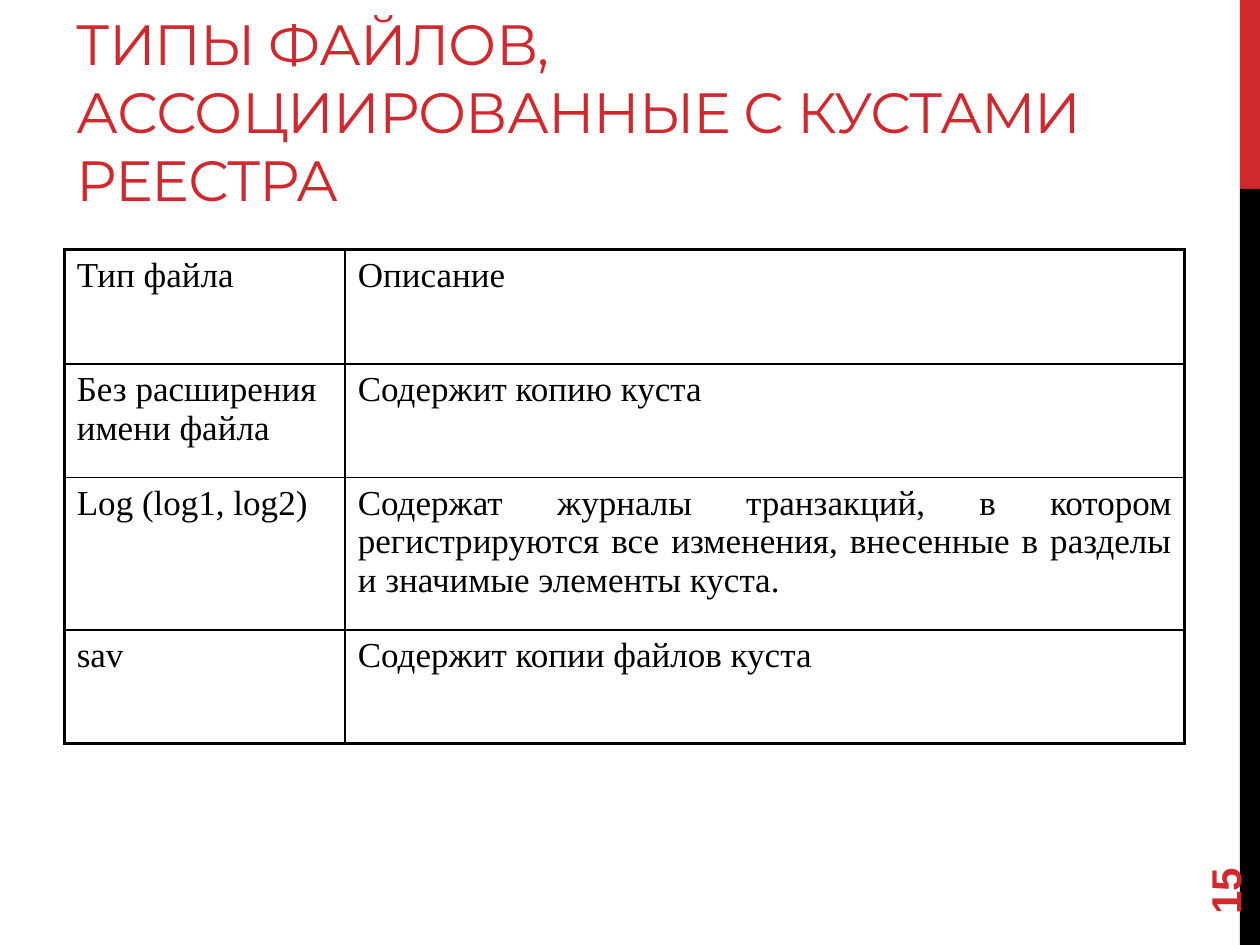
from lxml import etree
from pptx import Presentation
from pptx.dml.color import RGBColor
from pptx.enum.text import MSO_ANCHOR, MSO_AUTO_SIZE, PP_ALIGN
from pptx.oxml.ns import qn
from pptx.util import Inches, Pt

LEFT, JUSTIFY = PP_ALIGN.LEFT, PP_ALIGN.JUSTIFY
TOP, MIDDLE, BOTTOM = MSO_ANCHOR.TOP, MSO_ANCHOR.MIDDLE, MSO_ANCHOR.BOTTOM
NO_FIT = MSO_AUTO_SIZE.NONE

TITLE = "ТИПЫ ФАЙЛОВ, АССОЦИИРОВАННЫЕ С КУСТАМИ РЕЕСТРА"
PAGE = "15"
FILE_TYPES = [
    ("Тип файла", "Описание"),
    ("Без расширения имени файла", "Содержит копию куста"),
    ("Log (log1, log2)",
     "Содержат журналы транзакций, в котором регистрируются все изменения, "
     "внесенные в разделы и значимые элементы куста."),
    ("sav", "Содержит копии файлов куста"),
]
RED, BLACK = "D1282E", "000000"
WIDTH, HEIGHT = 10, 7.5
MARGIN = 0.51
BAND_WIDTH, BAND_SPLIT = 0.16, HEIGHT / 5
COLUMN_WIDTHS = (2.23, 6.66)
ROW_HEIGHTS = (0.91, 0.9, 1.21, 0.9)
OUTER_LINE, INNER_LINE = 2.25, 1


def colour(value):
    return RGBColor.from_string(value)


def box(*lengths):
    return [Inches(length) for length in lengths]


def write(frame, text, font="Arial", size=20, color=BLACK, bold=False,
          align=LEFT, spacing=None):
    paragraph = frame.paragraphs[0]
    paragraph.alignment = align
    run = paragraph.add_run()
    run.text = text
    run.font.name = font
    run.font.size = Pt(size)
    run.font.bold = bold
    run.font.color.rgb = colour(color)
    if spacing is not None:
        run.font._element.set("spc", str(round(spacing * 100)))


def add_band(slide, top, height, color):
    band = slide.shapes.add_shape(
        1, *box(WIDTH - BAND_WIDTH, top, BAND_WIDTH, height))
    band.shadow.inherit = False
    band.fill.solid()
    band.fill.fore_color.rgb = colour(color)
    band.line.fill.background()


def set_borders(cell, outer_edges):
    properties = cell._tc.get_or_add_tcPr()
    for side, is_outer in zip("LRTB", outer_edges):
        width = Pt(OUTER_LINE if is_outer else INNER_LINE)
        line = etree.SubElement(properties, qn("a:ln" + side), w=str(width))
        fill = etree.SubElement(line, qn("a:solidFill"))
        etree.SubElement(fill, qn("a:srgbClr"), val=BLACK)


def add_file_types(slide):
    last_row, last_column = len(FILE_TYPES) - 1, len(COLUMN_WIDTHS) - 1
    table = slide.shapes.add_table(
        len(FILE_TYPES), len(COLUMN_WIDTHS),
        *box(MARGIN, 1.98, sum(COLUMN_WIDTHS), sum(ROW_HEIGHTS))).table
    table.first_row = table.horz_banding = False
    for column, width in zip(table.columns, COLUMN_WIDTHS):
        column.width = Inches(width)
    for row, height in zip(table.rows, ROW_HEIGHTS):
        row.height = Inches(height)
    for r, entry in enumerate(FILE_TYPES):
        for c, text in enumerate(entry):
            cell = table.cell(r, c)
            set_borders(cell, (c == 0, c == last_column, r == 0, r == last_row))
            cell.fill.background()
            cell.vertical_anchor = TOP
            write(cell.text_frame, text, font="Times New Roman",
                  align=JUSTIFY if r and c else LEFT)


def main():
    deck = Presentation()
    deck.slide_width, deck.slide_height = box(WIDTH, HEIGHT)
    slide = deck.slides.add_slide(deck.slide_layouts[5])

    add_band(slide, 0, BAND_SPLIT, RED)
    add_band(slide, BAND_SPLIT, HEIGHT - BAND_SPLIT, BLACK)

    title = slide.shapes.title
    title.left, title.top, title.width, title.height = box(MARGIN, 0.28, 9, 1.46)
    title.text_frame.auto_size = NO_FIT
    title.text_frame.word_wrap = True
    title.text_frame.vertical_anchor = BOTTOM
    write(title.text_frame, TITLE, font="Montserrat", size=32.4, color=RED,
          spacing=-0.6)

    add_file_types(slide)

    page = slide.shapes.add_textbox(*box(9, 6.44, 1.44, 0.4))
    page.rotation = 270
    page.text_frame.word_wrap = True
    page.text_frame.vertical_anchor = MIDDLE
    write(page.text_frame, PAGE, size=24, color=RED, bold=True)

    deck.save("out.pptx")


if __name__ == "__main__":
    main()
